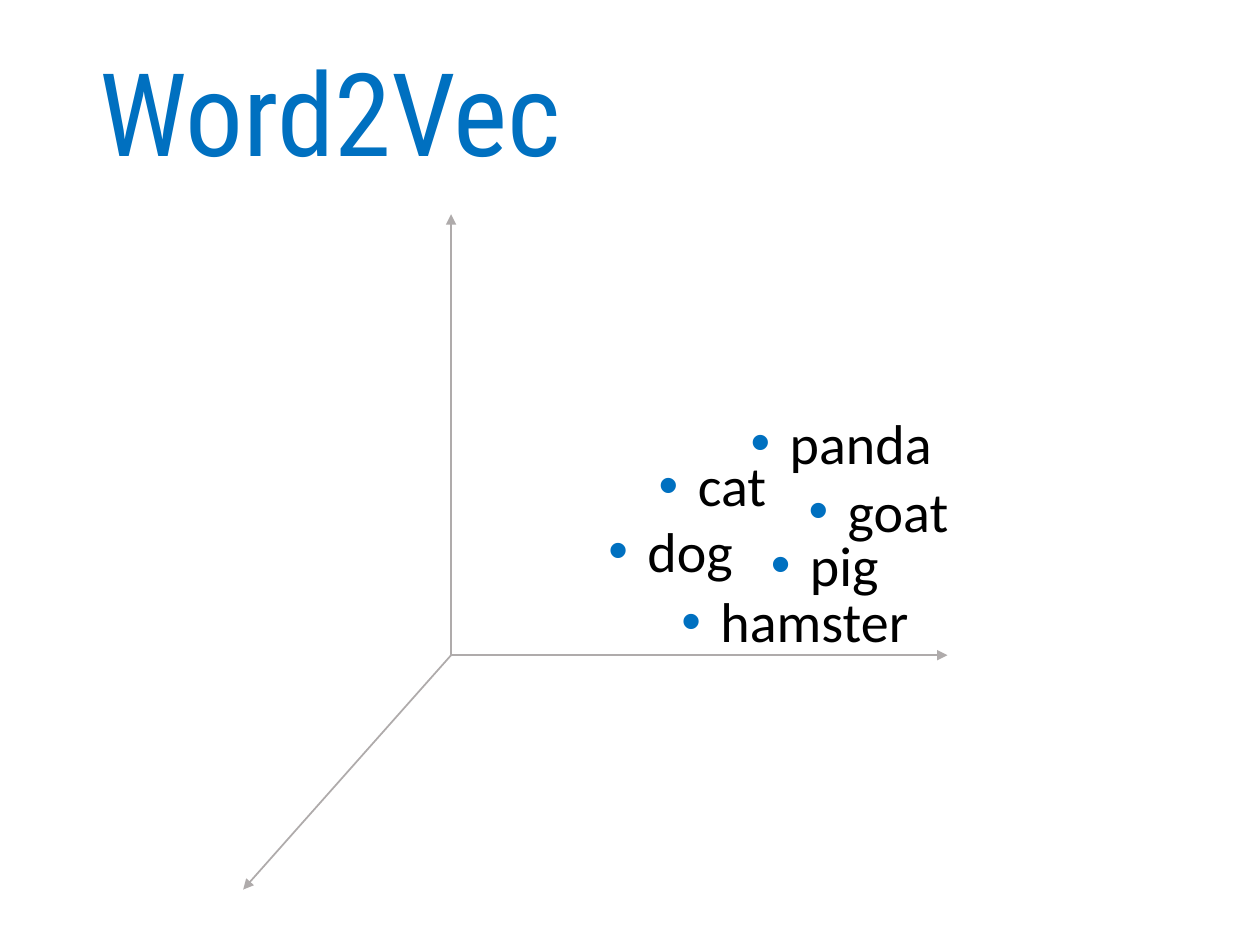
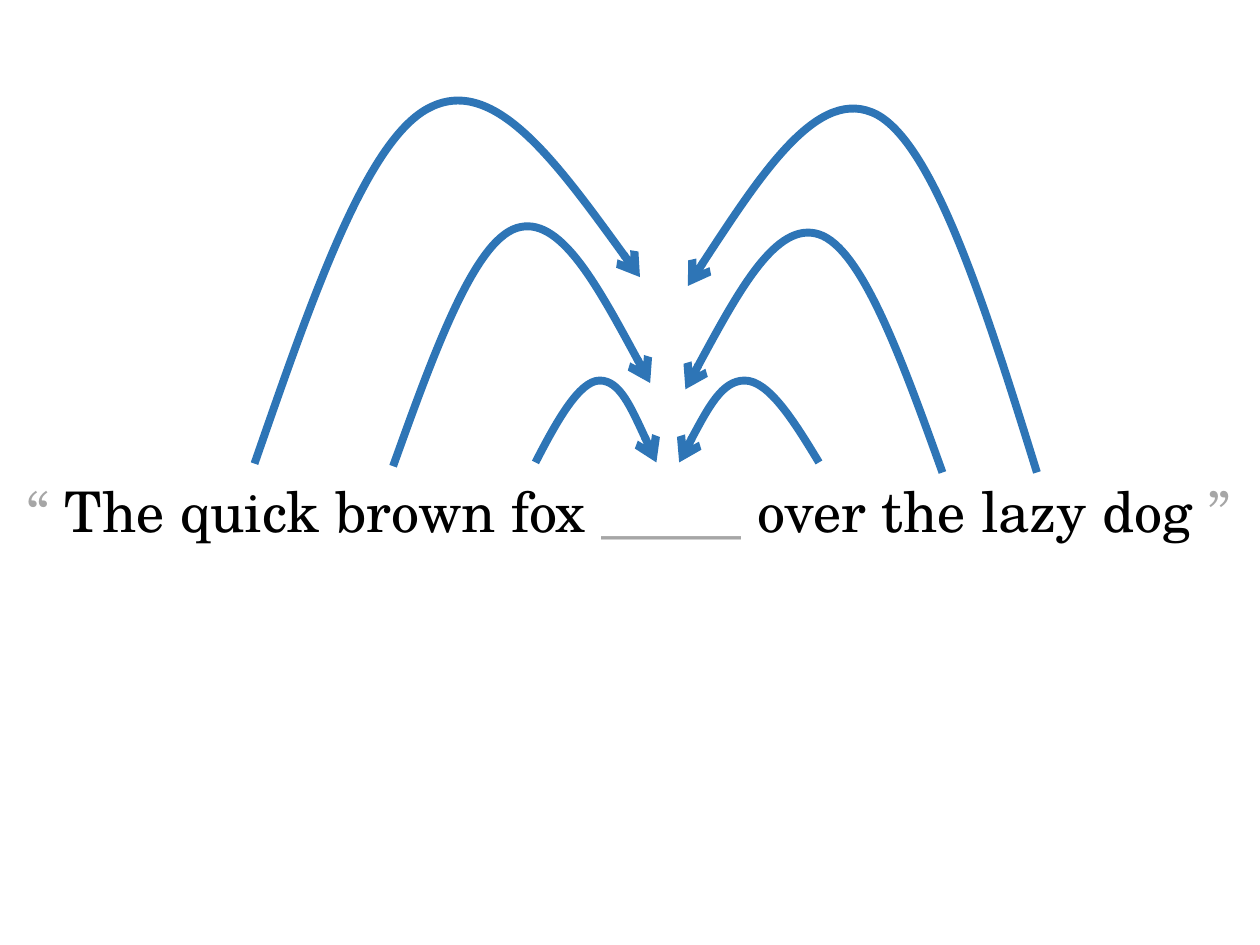
from lxml import etree
from pptx import Presentation, util as u
from pptx.dml.color import RGBColor
from pptx.enum import shapes, text
from pptx.oxml.ns import qn

# Content
TITLE = "Word2Vec"
ANIMALS = [  # word, left, top, width
    ("cat", 5.13, 3.53, 1.07),
    ("dog", 4.73, 4.05, 1.2),
    ("goat", 6.32, 3.73, 1.33),
    ("hamster", 5.31, 4.61, 2.02),
    ("pig", 6.02, 4.16, 1.07),
    ("panda", 5.86, 3.19, 1.66),
]
ORIGIN = (3.58, 5.2)
AXIS_TIPS = [(3.58, 1.7), (1.93, 7.06), (7.52, 5.2)]
SENTENCE = [  # words, colour
    ("“ ", "quiet"),
    ("The quick brown fox ", "ink"),
    ("_____", "quiet"),
    (" over the lazy dog", "ink"),
    (" ”", "quiet"),
]
CONTEXT_ARCS = [  # start, then two curves of two handles and an end point
    [(4.25, 3.67), (4.42, 3.34), (4.6, 3.02), (4.76, 3.02),
     (4.92, 3.02), (5.06, 3.34), (5.21, 3.67)],
    [(6.5, 3.67), (6.3, 3.34), (6.1, 3.02), (5.91, 3.02),
     (5.73, 3.02), (5.56, 3.34), (5.39, 3.67)],
    [(3.12, 3.7), (3.44, 2.81), (3.76, 1.92), (4.1, 1.81),
     (4.44, 1.7), (4.8, 2.37), (5.16, 3.04)],
    [(7.48, 3.75), (7.16, 2.86), (6.84, 1.97), (6.5, 1.86),
     (6.16, 1.75), (5.8, 2.42), (5.44, 3.09)],
    [(2.02, 3.68), (2.47, 2.39), (2.91, 1.09), (3.42, 0.85),
     (3.93, 0.6), (4.5, 1.4), (5.08, 2.2)],
    [(8.23, 3.75), (7.83, 2.46), (7.42, 1.16), (6.96, 0.91),
     (6.5, 0.67), (5.98, 1.47), (5.46, 2.27)],
]

# Style
COLOURS = {"title": "0070C0", "ink": "000000", "quiet": "A6A6A6",
           "axis": "AFABAB", "arc": "2E75B6"}
TITLE_FONT, LABEL_FONT, SENTENCE_FONT = "Roboto Condensed", "Calibri", "TeX Gyre Schola"
TEXT_SIZE, LINE_HEIGHT, BULLET_INDENT = 32, 0.64, 0.31


def colour(name):
    return RGBColor.from_string(COLOURS[name])


def style_font(font, face, size, colour_name):
    font.name, font.size = face, u.Pt(size)
    font.color.rgb = colour(colour_name)


def add_paragraph_box(slide, left, top, width, height=LINE_HEIGHT, wrap=False):
    box = slide.shapes.add_textbox(*map(u.Inches, (left, top, width, height)))
    box.text_frame.word_wrap = wrap
    if not wrap:
        box.text_frame.auto_size = text.MSO_AUTO_SIZE.SHAPE_TO_FIT_TEXT
    return box.text_frame.paragraphs[0]


def add_bullet(paragraph):
    props = paragraph._p.get_or_add_pPr()
    props.set("marL", str(u.Inches(BULLET_INDENT)))
    props.set("indent", str(-u.Inches(BULLET_INDENT)))
    bullet_colour = etree.SubElement(props, qn("a:buClr"))
    etree.SubElement(bullet_colour, qn("a:srgbClr"), val=COLOURS["title"])
    etree.SubElement(props, qn("a:buFont"), typeface="Arial")
    etree.SubElement(props, qn("a:buChar"), char="•")


def style_arrow(line_shape, colour_name, width, head):
    line_shape.line.color.rgb = colour(colour_name)
    line_shape.line.width = u.Pt(width)
    outline = line_shape.element.spPr.find(qn("a:ln"))
    etree.SubElement(outline, qn("a:tailEnd"), type=head)


def add_axis(slide, tip):
    axis = slide.shapes.add_connector(
        shapes.MSO_CONNECTOR.STRAIGHT, *map(u.Inches, ORIGIN + tip))
    style_arrow(axis, "axis", 1, "triangle")
    etree.SubElement(axis.element.spPr, qn("a:effectLst"))


def add_arc(slide, points):
    points = [(u.Inches(x), u.Inches(y)) for x, y in points]
    builder = slide.shapes.build_freeform(*points[0])
    builder.add_line_segments(points[3::3], close=False)
    arc = builder.convert_to_shape()
    # Bend each straight segment with its two handles
    for i, segment in enumerate(list(arc.element.iter(qn("a:lnTo")))):
        curve = etree.Element(qn("a:cubicBezTo"))
        for x, y in points[3 * i + 1:3 * i + 4]:
            etree.SubElement(curve, qn("a:pt"), x=str(x - arc.left), y=str(y - arc.top))
        segment.getparent().replace(segment, curve)
    arc.shadow.inherit = False
    arc.fill.background()
    style_arrow(arc, "arc", 4.5, "arrow")


def build_vector_space(slide):
    for tip in AXIS_TIPS:
        add_axis(slide, tip)
    heading = add_paragraph_box(slide, 0.69, 0.4, 8.62, 1.45, wrap=True)
    heading.text = TITLE
    heading.line_spacing = 0.9
    style_font(heading.font, TITLE_FONT, 66, "title")
    for word, left, top, width in ANIMALS:
        label = add_paragraph_box(slide, left, top, width)
        label.text = word
        add_bullet(label)
        style_font(label.font, LABEL_FONT, TEXT_SIZE, "ink")


def build_missing_word(slide):
    sentence = add_paragraph_box(slide, 0.12, 3.73, 9.83)
    for words, colour_name in SENTENCE:
        run = sentence.add_run()
        run.text = words
        style_font(run.font, SENTENCE_FONT, TEXT_SIZE, colour_name)
    for points in CONTEXT_ARCS:
        add_arc(slide, points)


def main():
    deck = Presentation()
    deck.slide_width, deck.slide_height = u.Inches(10), u.Inches(7.5)
    for build in (build_vector_space, build_missing_word):
        build(deck.slides.add_slide(deck.slide_layouts[6]))
    deck.save("out.pptx")


if __name__ == "__main__":
    main()
